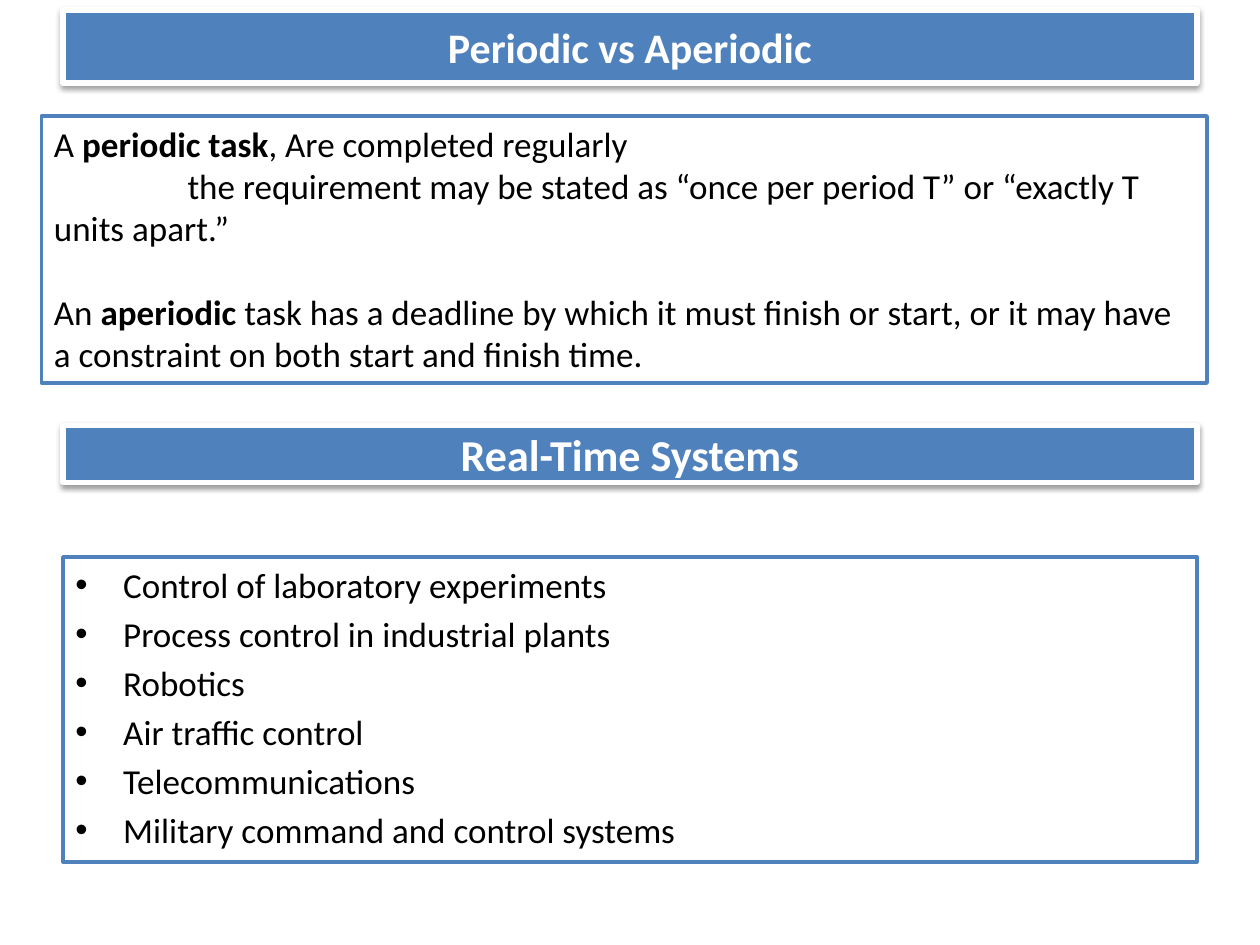
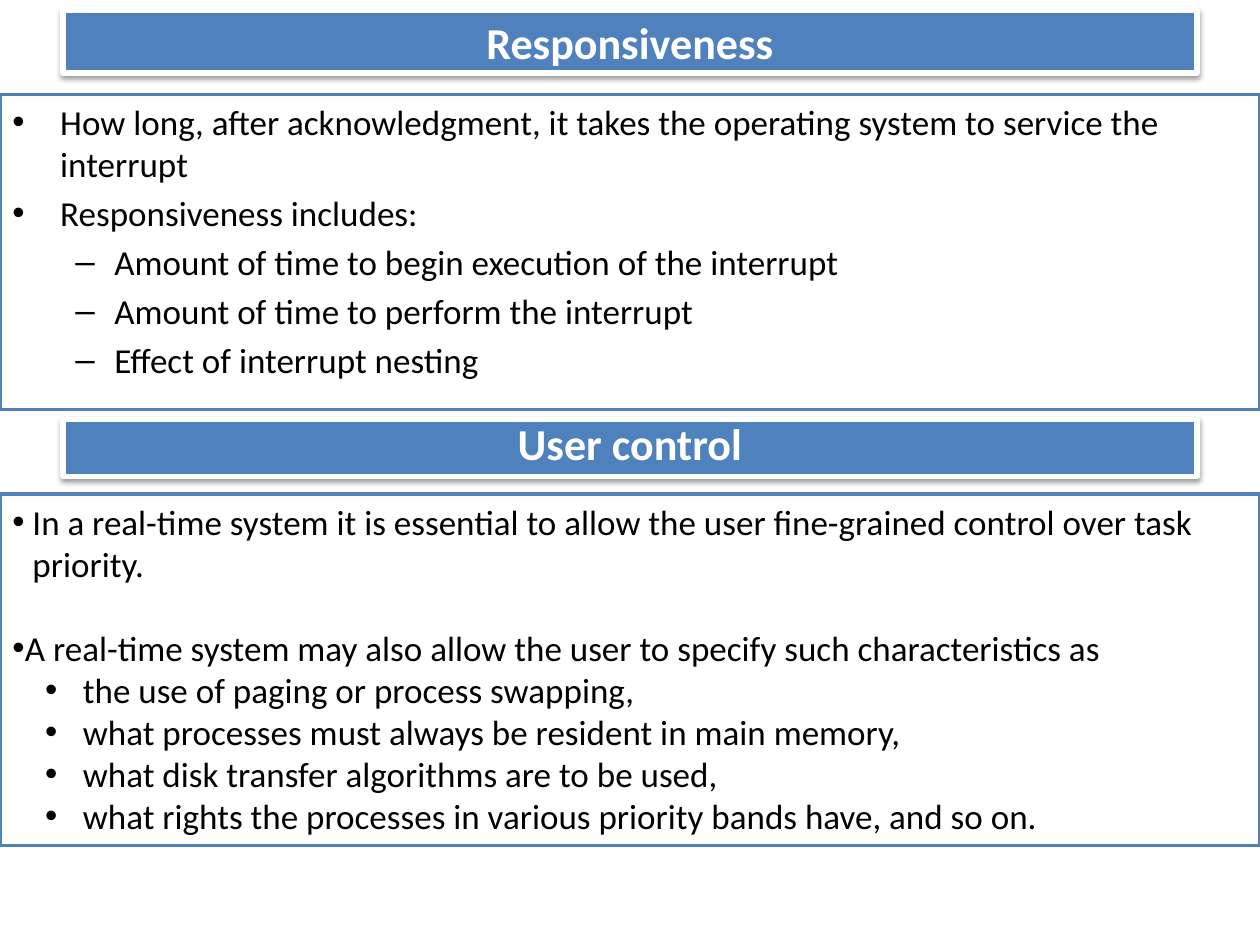
from dataclasses import dataclass
from typing import Any, NamedTuple

from lxml.etree import SubElement
from pptx import Presentation
from pptx.dml.color import RGBColor
from pptx.enum.shapes import MSO_SHAPE as Preset
from pptx.enum.text import MSO_ANCHOR as Anchor, PP_ALIGN as Align
from pptx.oxml.ns import qn
from pptx.shapes.autoshape import Shape
from pptx.slide import Slide
from pptx.util import Inches, Pt


@dataclass(frozen=True)
class Theme:
    font: str = "Calibri"
    blue: RGBColor = RGBColor(0x4F, 0x81, 0xBD)
    white: RGBColor = RGBColor(0xFF, 0xFF, 0xFF)
    black: RGBColor = RGBColor(0x00, 0x00, 0x00)
    heading_size: float = 25.2
    first_heading_size: float = 24
    body_size: float = 20
    heading_border: float = 3
    body_border: float = 2


THEME = Theme()


class Style(NamedTuple):
    """Paragraph layout: indents in inches, space before in points."""
    left: float = 0
    first: float = 0
    bullet: str = ""
    before: float = 0
    level: int = 0


class Line(NamedTuple):
    text: str  # parts between ** are bold
    style: Style


@dataclass(frozen=True)
class Section:
    """A heading band and the framed text below it."""
    heading: str
    band_top: float
    band_height: float
    frame: tuple[float, float, float, float]
    lines: list[Line]
    heading_size: float = THEME.heading_size
    heading_spacing: float = 1.0


# Paragraph styles
PLAIN = Style()
OPENING = Style(first=1.06)
NEXT_TOPIC = Style(before=24)
POINT = Style(0.38, -0.38, "•", 4)
FIRST_POINT = POINT._replace(before=0)
DASH = Style(0.81, -0.31, "–", 4, 1)
CONTROL_POINT = Style(0.16, -0.16, "•")
CONTROL_NEXT = Style(0.1, -0.1, "•", 24)
CONTROL_ITEM = Style(0.56, -0.3, "•", level=1)


def lines(style: Style, *texts: str) -> list[Line]:
    return [Line(text, style) for text in texts]


# Content
PERIODIC = Section(
    "Periodic vs Aperiodic", 0.08, 0.58, (0.33, 0.92, 9.25, 2.12),
    lines(PLAIN, "A **periodic task**, Are completed regularly")
    + lines(OPENING, "the requirement may be stated as “once per period T” "
                     "or “exactly T units apart.”")
    + lines(NEXT_TOPIC, "An **aperiodic **task has a deadline by which it must finish "
                        "or start, or it may have a constraint on both start and "
                        "finish time."),
    heading_size=THEME.first_heading_size)

REAL_TIME = Section(
    "Real-Time Systems", 3.38, 0.45, (0.5, 4.42, 9, 2.42),
    lines(FIRST_POINT, "Control of laboratory experiments")
    + lines(POINT, "Process control in industrial plants", "Robotics",
            "Air traffic control", "Telecommunications",
            "Military command and control systems"))

RESPONSIVENESS = Section(
    "Responsiveness", 0.08, 0.5, (0, 0.75, 10, 2.5),
    lines(FIRST_POINT, "How long, after acknowledgment, it takes the operating "
                       "system to service the interrupt")
    + lines(POINT, "Responsiveness includes:")
    + lines(DASH, "Amount of time to begin execution of the interrupt",
            "Amount of time to perform the interrupt",
            "Effect of interrupt nesting"))

USER_CONTROL = Section(
    "User control", 3.33, 0.45, (0, 3.92, 10, 2.79),
    lines(CONTROL_POINT, "In a real-time system it is essential to allow the user "
                         "fine-grained control over task priority.")
    + lines(CONTROL_NEXT, "A real-time system may also allow the user to specify "
                          "such characteristics as")
    + lines(CONTROL_ITEM, "the use of paging or process swapping,",
            "what processes must always be resident in main memory,",
            "what disk transfer algorithms are to be used,",
            "what rights the processes in various priority bands have, and so on."),
    heading_spacing=0.8)

SLIDES = [[PERIODIC, REAL_TIME], [RESPONSIVENESS, USER_CONTROL]]


# Drawing helpers
def apply(target: Any, formats: dict[str, Any]) -> None:
    for name, value in formats.items():
        setattr(target, name, value)


def add_box(slide: Slide, frame: tuple[float, float, float, float], fill: RGBColor,
            border: RGBColor, border_width: float, anchor: Anchor) -> Shape:
    box = slide.shapes.add_shape(Preset.RECTANGLE, *map(Inches, frame))
    box.shadow.inherit = False
    box.fill.solid()
    box.fill.fore_color.rgb = fill
    box.line.color.rgb = border
    box.line.width = Pt(border_width)
    apply(box.text_frame, {"word_wrap": True, "vertical_anchor": anchor})
    return box


def add_shadow(box: Shape) -> None:
    effects = box._element.spPr.find(qn("a:effectLst"))
    shadow = SubElement(effects, qn("a:outerShdw"), blurRad=str(Pt(3.1)),
                        dist=str(Pt(1.6)), dir="5400000", rotWithShape="0")
    color = SubElement(shadow, qn("a:srgbClr"), val=str(THEME.black))
    SubElement(color, qn("a:alpha"), val="38000")


def add_run(paragraph: Any, text: str, size: float, color: RGBColor, bold: bool) -> None:
    run = paragraph.add_run()
    run.text = text
    apply(run.font, {"name": THEME.font, "size": Pt(size), "bold": bold})
    run.font.color.rgb = color


def add_heading(slide: Slide, section: Section) -> None:
    band = add_box(slide, (0.5, section.band_top, 9, section.band_height),
                   THEME.blue, THEME.white, THEME.heading_border, Anchor.MIDDLE)
    add_shadow(band)
    paragraph = band.text_frame.paragraphs[0]
    apply(paragraph, {"alignment": Align.CENTER,
                      "line_spacing": section.heading_spacing})
    add_run(paragraph, section.heading, section.heading_size, THEME.white, True)


def format_line(paragraph: Any, style: Style) -> None:
    apply(paragraph, {"alignment": Align.LEFT, "level": style.level,
                      "space_before": Pt(style.before)})
    properties = paragraph._p.get_or_add_pPr()
    properties.set("marL", str(Inches(style.left)))
    properties.set("indent", str(Inches(style.first)))
    if style.bullet:
        SubElement(properties, qn("a:buFont"), typeface="Arial")
        SubElement(properties, qn("a:buChar"), char=style.bullet)


def add_body(slide: Slide, section: Section) -> None:
    body = add_box(slide, section.frame, THEME.white, THEME.blue,
                   THEME.body_border, Anchor.TOP).text_frame
    for number, line in enumerate(section.lines):
        paragraph = body.add_paragraph() if number else body.paragraphs[0]
        format_line(paragraph, line.style)
        for part, text in enumerate(line.text.split("**")):
            add_run(paragraph, text, THEME.body_size, THEME.black, part % 2 == 1)


def main() -> None:
    deck = Presentation()
    apply(deck, {"slide_width": Inches(10), "slide_height": Inches(7.5)})
    for sections in SLIDES:
        slide = deck.slides.add_slide(deck.slide_layouts[6])
        for section in sections:
            add_heading(slide, section)
            add_body(slide, section)
    deck.save("out.pptx")


if __name__ == "__main__":
    main()
